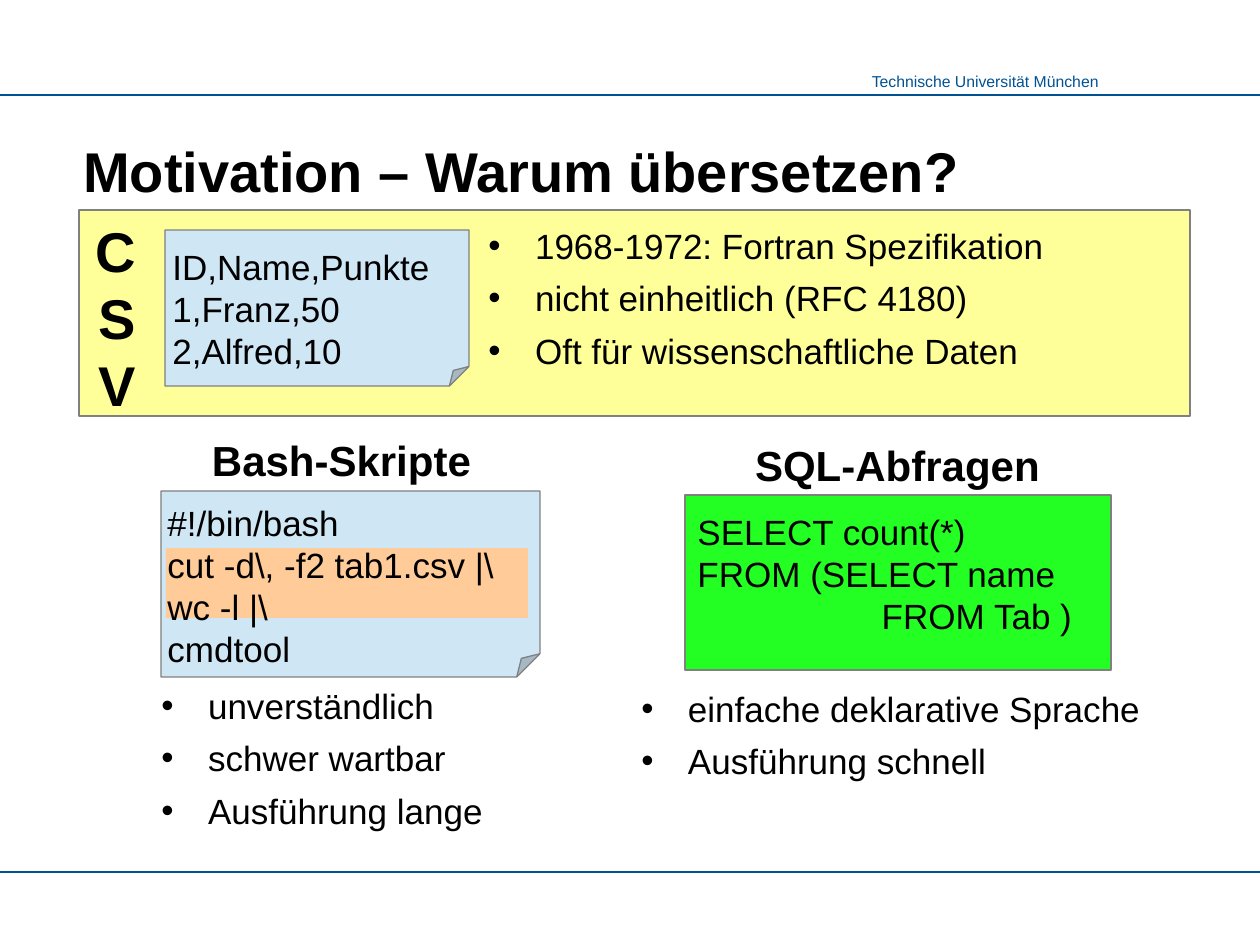
from lxml.etree import SubElement
from pptx import Presentation
from pptx.dml.color import RGBColor
from pptx.enum.shapes import MSO_CONNECTOR, MSO_SHAPE
from pptx.enum.text import MSO_ANCHOR, PP_ALIGN
from pptx.oxml.ns import qn
from pptx.util import Inches, Pt

EMU_PER_PX = 914400 / 126
WIDTH, HEIGHT = 1260, 945
FONT = "Arial"
COLORS = {"blue": "005293", "black": "000000", "gray": "808080", "note": "CFE7F5",
          "mark": "FFCC99", "sql": "23FF23", "band": "FFFF99"}

# Content: boxes are left, top, width, height in px
HEADER = ("Technische Universität München", (858, 66, 253, 31))
TITLE = ("Motivation – Warum übersetzen?", (71, 63, 1120, 147))
RULES = [95, 872]
CSV_LABEL = ("CSV", (79, 210, 69, 214))
HEADINGS = [("Bash-Skripte", (89, 428, 505, 63)),
            ("SQL-Abfragen", (645, 433, 505, 63))]
PANELS = [
    (MSO_SHAPE.FOLDED_CORNER, "note", (161, 491, 379, 186)),
    (MSO_SHAPE.RECTANGLE, "mark", (166, 548, 362, 70)),
    (MSO_SHAPE.RECTANGLE, "sql", (685, 495, 426, 175)),
    (MSO_SHAPE.RECTANGLE, "band", (79, 210, 1111, 206)),
    (MSO_SHAPE.FOLDED_CORNER, "note", (165, 230, 304, 156)),
]
CODE = [
    (["#!/bin/bash", "cut -d\\, -f2 tab1.csv |\\ wc -l |\\", "cmdtool"],
     (155, 495, 386, 183)),
    (["SELECT count(*)", "FROM (SELECT name", "\t      FROM Tab )"],
     (685, 504, 421, 166)),
    (["ID,Name,Punkte", "1,Franz,50", "2,Alfred,10"], (160, 239, 310, 147)),
]
BULLETS = [
    (["unverständlich", "schwer wartbar", "Ausführung lange"], (149, 678, 508, 190)),
    (["einfache deklarative Sprache", "Ausführung schnell"], (629, 681, 616, 188)),
    (["1968-1972: Fortran Spezifikation", "nicht einheitlich (RFC 4180)",
      "Oft für wissenschaftliche Daten"], (476, 218, 714, 188)),
]


def emu(*lengths):
    return [round(length * EMU_PER_PX) for length in lengths]


def color(name):
    return RGBColor.from_string(COLORS[name])


def add_rule(page, y):
    rule = page.shapes.add_connector(MSO_CONNECTOR.STRAIGHT, *emu(0, y, WIDTH, y))
    rule.line.color.rgb = color("blue")
    rule.line.width = Pt(0.75)
    SubElement(rule._element.spPr, qn("a:effectLst"))


def add_panel(page, kind, fill, box):
    panel = page.shapes.add_shape(kind, *emu(*box))
    panel.shadow.inherit = False
    panel.fill.solid()
    panel.fill.fore_color.rgb = color(fill)
    if fill == "mark":
        panel.line.fill.background()
    else:
        panel.line.color.rgb = color("gray")
        panel.line.width = Pt(0.75)
    if kind == MSO_SHAPE.FOLDED_CORNER:
        set_fold(panel)


def set_fold(panel):
    geometry = panel._element.spPr.find(qn("a:prstGeom"))
    values = geometry.find(qn("a:avLst"))
    if values is None:
        values = SubElement(geometry, qn("a:avLst"))
    SubElement(values, qn("a:gd"), name="adj", fmla="val 12500")


def add_bullet(para):
    properties = para._p.get_or_add_pPr()
    indent = Inches(0.37)
    properties.set("marL", str(indent))
    properties.set("indent", str(-indent))
    SubElement(properties, qn("a:buFont"), typeface=FONT)
    SubElement(properties, qn("a:buChar"), char="•")


def add_tab_stop(para):
    tabs = SubElement(para._p.get_or_add_pPr(), qn("a:tabLst"))
    SubElement(tabs, qn("a:tab"), pos=str(Inches(1)), algn="l")


def add_text(page, lines, box, size=20, bold=False, align=PP_ALIGN.LEFT, ink="black",
             anchor=MSO_ANCHOR.TOP, wrap=True, bullets=False):
    frame = page.shapes.add_textbox(*emu(*box)).text_frame
    frame.word_wrap = wrap
    frame.vertical_anchor = anchor
    for index, line in enumerate(lines):
        para = frame.add_paragraph() if index else frame.paragraphs[0]
        para.text = line
        para.alignment = align
        if bullets:
            if index:
                para.space_before = Pt(6)
            add_bullet(para)
        if "\t" in line:
            add_tab_stop(para)
        para.font.name = FONT
        para.font.size = Pt(size)
        para.font.bold = bold
        para.font.color.rgb = color(ink)


def main():
    deck = Presentation()
    deck.slide_width, deck.slide_height = emu(WIDTH, HEIGHT)
    page = deck.slides.add_slide(deck.slide_layouts[6])

    # Page frame and title
    header, box = HEADER
    add_text(page, [header], box, size=9, align=PP_ALIGN.RIGHT, ink="blue", wrap=False)
    for y in RULES:
        add_rule(page, y)
    title, box = TITLE
    add_text(page, [title], box, size=32, bold=True, anchor=MSO_ANCHOR.BOTTOM)

    # Coloured panels, then the text on them
    for kind, fill, box in PANELS:
        add_panel(page, kind, fill, box)
    for lines, box in CODE:
        add_text(page, lines, box)
    for lines, box in BULLETS:
        add_text(page, lines, box, bullets=True)

    # Headings; the narrow label breaks after each letter
    for heading, box in HEADINGS:
        add_text(page, [heading], box, size=24, bold=True, align=PP_ALIGN.CENTER)
    label, box = CSV_LABEL
    add_text(page, [label], box, size=32, bold=True, align=PP_ALIGN.RIGHT)

    deck.save("out.pptx")


if __name__ == "__main__":
    main()
